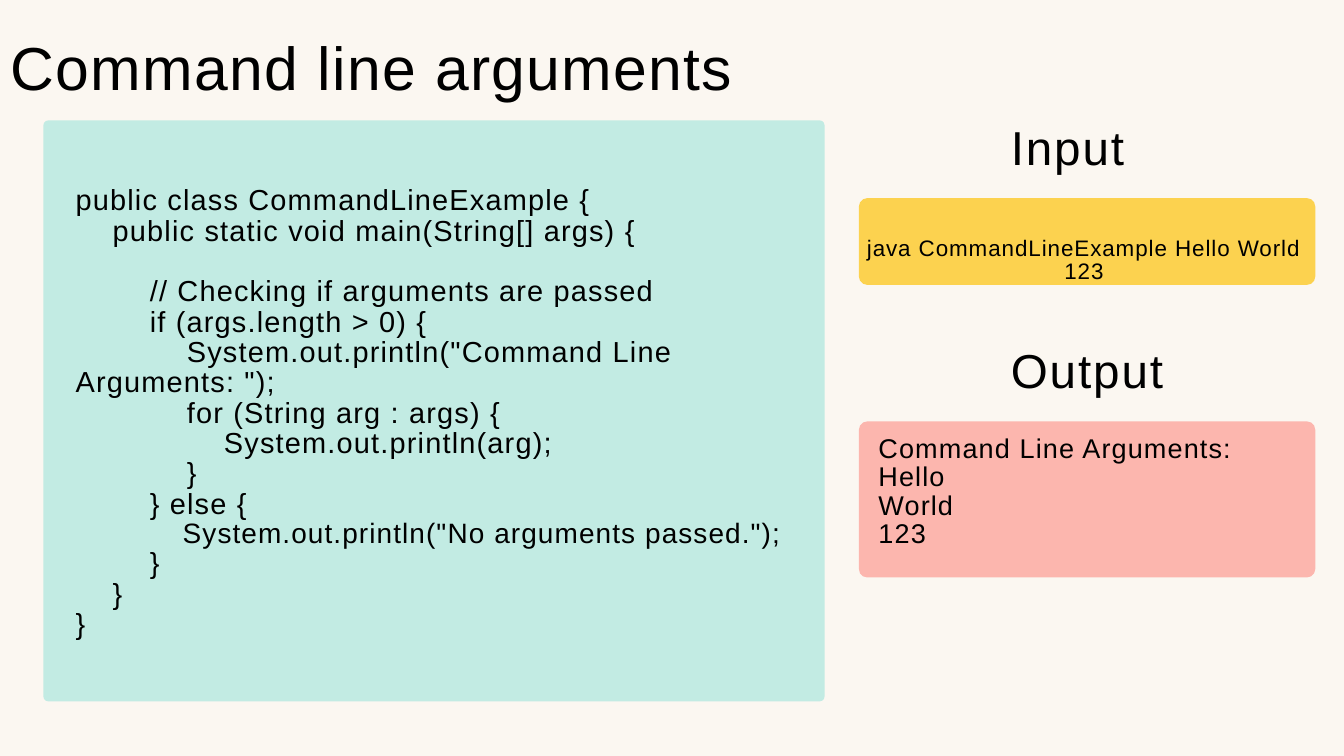
from dataclasses import dataclass
from pptx import Presentation
from pptx.dml.color import RGBColor as RGB
from pptx.enum.shapes import MSO_SHAPE as Shape
from pptx.enum.text import MSO_AUTO_SIZE as Fit, PP_ALIGN as Align
from pptx.oxml.ns import qn
from pptx.util import Pt

PX = 9525


@dataclass(frozen=True)
class Type:
    size: float
    track: float
    lead: float


@dataclass(frozen=True)
class Theme:
    font: str = "Arial"
    ink: str = "000000"
    back: str = "FBF7F1"
    mint: str = "C2EBE3"
    gold: str = "FCD24F"
    rose: str = "FCB6AE"
    title: Type = Type(65, 1.4, 64.3)
    head: Type = Type(51, 2.1, 53.5)
    code: Type = Type(31, 1.3, 32.5)
    small: Type = Type(30, 1.2, 31.5)
    input: Type = Type(24, 1, 25.2)
    result: Type = Type(29, 1.2, 30.4)


@dataclass(frozen=True)
class Line:
    text: str
    depth: int = 0
    gap: float = 0
    type: Type | None = None


class Deck:
    def __init__(self, theme, wide, high):
        self.theme = theme
        self.show = Presentation()
        self.show.slide_width = wide * PX
        self.show.slide_height = high * PX
        self.slide = self.show.slides.add_slide(self.show.slide_layouts[6])
        fill = self.slide.background.fill
        fill.solid()
        fill.fore_color.rgb = RGB.from_string(theme.back)

    def panel(self, x, y, w, h, round_by, color):
        box = self.slide.shapes.add_shape(
            Shape.ROUNDED_RECTANGLE, x * PX, y * PX, w * PX, h * PX)
        box.adjustments[0] = round_by / min(w, h)
        box.shadow.inherit = False
        box.fill.solid()
        box.fill.fore_color.rgb = RGB.from_string(color)
        box.line.fill.background()

    def text(self, x, y, w, h, lines, type, align=Align.LEFT):
        box = self.slide.shapes.add_textbox(x * PX, y * PX, w * PX, h * PX)
        frame = box.text_frame
        frame.word_wrap = True
        frame.auto_size = Fit.SHAPE_TO_FIT_TEXT
        frame.margin_left = frame.margin_right = 0
        frame.margin_top = frame.margin_bottom = 0
        for i, line in enumerate(lines):
            para = frame.add_paragraph() if i else frame.paragraphs[0]
            self.fill(para, line, line.type or type, align)

    def fill(self, para, line, type, align):
        para.text = line.text
        para.alignment = align
        para.line_spacing = Pt(type.lead)
        para.space_before = Pt(line.gap)
        font = para.font
        font.name = self.theme.font
        font.size = Pt(type.size)
        font.color.rgb = RGB.from_string(self.theme.ink)
        props = para._p.get_or_add_pPr()
        props.find(qn("a:defRPr")).set("spc", str(round(type.track * 100)))
        props.set("marL", "0")
        props.set("indent", str(line.depth * round(type.size * 1.7) * PX))

    def save(self):
        self.show.save("out.pptx")


def main():
    theme = Theme()
    deck = Deck(theme, 1920, 1080)
    code = [
        Line("public class CommandLineExample {"),
        Line("public static void main(String[] args) {", 1),
        Line("// Checking if arguments are passed", 2, theme.code.lead),
        Line("if (args.length > 0) {", 2),
        Line('System.out.println("Command Line Arguments: ");', 3),
        Line("for (String arg : args) {", 3),
        Line("System.out.println(arg);", 4),
        Line("}", 3),
        Line("} else {", 2),
        Line('System.out.println("No arguments passed.");', 3,
             type=theme.small),
        Line("}", 2),
        Line("}", 1),
        Line("}"),
    ]
    result = [Line(text) for text in
              ("Command Line Arguments:", "Hello", "World", "123")]

    deck.text(-58, 61, 1179, 89, [Line("Command line arguments")],
              theme.title, Align.CENTER)
    deck.panel(62, 172, 1116, 830, 7, theme.mint)
    deck.text(108, 266, 1070, 646, code, theme.code)

    for name, y, high, color in (("Input", 179, 124, theme.gold),
                                 ("Output", 498, 223, theme.rose)):
        deck.text(1444, y, 240, 74, [Line(name)], theme.head)
        deck.panel(1227, y + 104, 652, high, 12, color)

    deck.text(1218, 339, 661, 69,
              [Line("java CommandLineExample Hello World 123")],
              theme.input, Align.CENTER)
    deck.text(1255, 622, 624, 203, result, theme.result, Align.JUSTIFY)
    deck.save()


if __name__ == "__main__":
    main()
